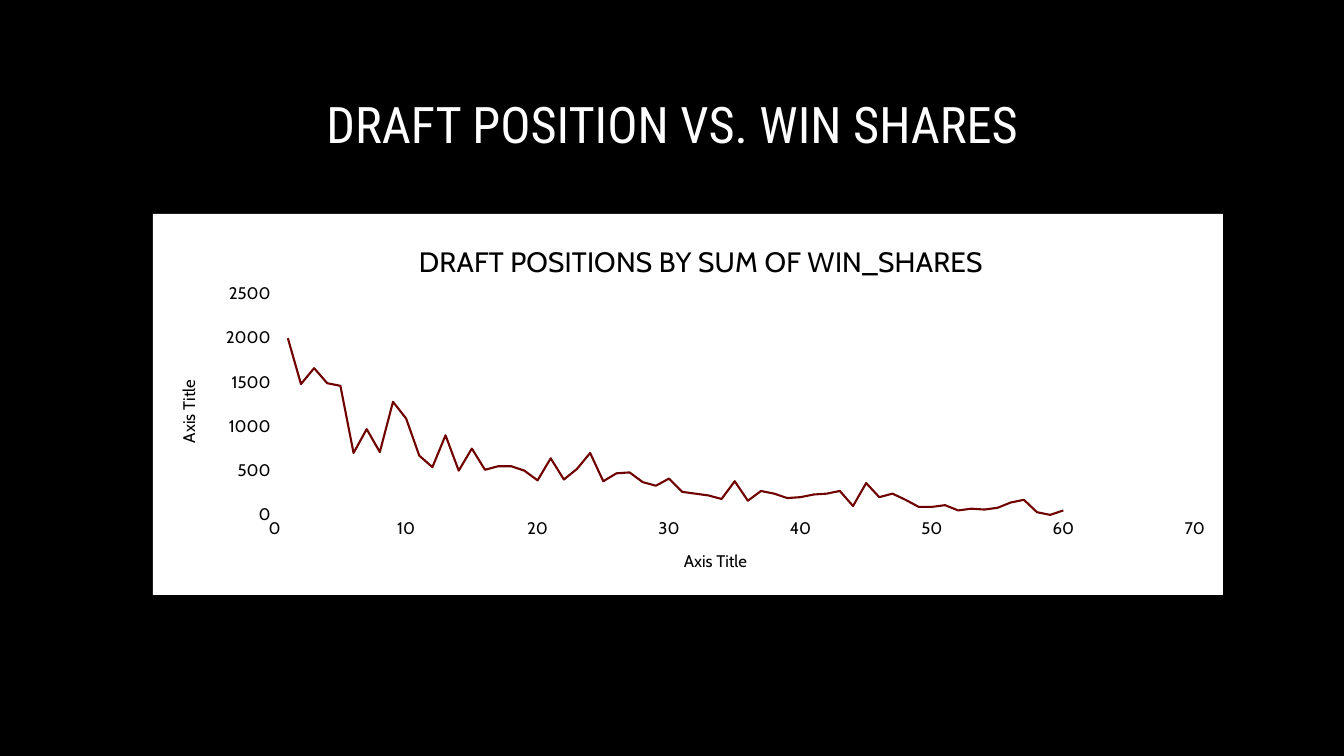
from lxml import etree
from pptx import Presentation
from pptx.chart.data import XyChartData
from pptx.dml.color import RGBColor
from pptx.enum.chart import XL_CHART_TYPE, XL_TICK_LABEL_POSITION, XL_TICK_MARK
from pptx.enum.shapes import MSO_SHAPE
from pptx.enum.text import MSO_ANCHOR, PP_ALIGN
from pptx.oxml import parse_xml
from pptx.oxml.ns import nsdecls, qn
from pptx.util import Emu, Pt

PX_PER_INCH = 100.8
WIN_SHARES = [
    2000, 1480, 1660, 1490, 1460, 700, 970, 710, 1280, 1090,
    670, 540, 900, 500, 750, 510, 550, 550, 500, 390,
    640, 400, 520, 700, 380, 470, 480, 370, 330, 410,
    260, 240, 220, 180, 380, 160, 270, 240, 190, 200,
    230, 240, 270, 100, 360, 200, 240, 170, 90, 90,
    110, 50, 70, 60, 80, 140, 170, 30, 0, 50,
]


def px(n):
    return Emu(round(n * 914400 / PX_PER_INCH))


def color(hex_value):
    return RGBColor.from_string(hex_value)


def place(parent, **fractions):
    """Give a chart part a fixed place, in fractions of the chart."""
    for layout in parent.findall(qn("c:layout")):
        parent.remove(layout)
    layout = parse_xml(f'<c:layout {nsdecls("c")}/>')
    parent.insert(len(parent.findall(qn("c:tx"))), layout)
    manual = etree.SubElement(layout, qn("c:manualLayout"))
    if "w" in fractions:
        etree.SubElement(manual, qn("c:layoutTarget")).set("val", "inner")
    for side in ("x", "y"):
        etree.SubElement(manual, qn(f"c:{side}Mode")).set("val", "edge")
    for name, value in fractions.items():
        etree.SubElement(manual, qn(f"c:{name}")).set("val", str(value))


class Deck:
    HEADING_FONT, BODY_FONT = "Roboto Condensed", "Cabin"
    BLACK, WHITE, MAROON = "000000", "FFFFFF", "700000"

    def __init__(self):
        self.prs = Presentation()
        self.prs.slide_width, self.prs.slide_height = px(1344), px(756)
        self.s = self.prs.slides.add_slide(self.prs.slide_layouts[6])
        fill = self.s.background.fill
        fill.solid()
        fill.fore_color.rgb = color(self.BLACK)

    def style(self, font, size, name, hex_value):
        font.size, font.name, font.bold = Pt(size), name, False
        font.color.rgb = color(hex_value)

    def heading(self, text, x, y, w, h):
        tf = self.s.shapes.add_textbox(px(x), px(y), px(w), px(h)).text_frame
        tf.word_wrap = True
        tf.vertical_anchor = MSO_ANCHOR.BOTTOM
        tf.text = text
        p = tf.paragraphs[0]
        p.alignment, p.line_spacing = PP_ALIGN.CENTER, 0.9
        self.style(p.runs[0].font, 36, self.HEADING_FONT, self.WHITE)

    def panel(self, x, y, w, h):
        sp = self.s.shapes.add_shape(MSO_SHAPE.RECTANGLE, px(x), px(y), px(w), px(h))
        sp.shadow.inherit = False
        sp.fill.solid()
        sp.fill.fore_color.rgb = color(self.WHITE)
        sp.line.fill.background()

    def caption(self, owner, text, size):
        """Set the title of a chart or an axis."""
        title = owner.chart_title if hasattr(owner, "chart_title") else owner.axis_title
        title.text_frame.text = text
        run = title.text_frame.paragraphs[0].runs[0]
        self.style(run.font, size, self.BODY_FONT, self.BLACK)
        return title

    def axis(self, axis, title, top, step):
        axis.minimum_scale, axis.maximum_scale, axis.major_unit = 0, top, step
        axis.major_tick_mark = axis.minor_tick_mark = XL_TICK_MARK.NONE
        axis.tick_label_position = XL_TICK_LABEL_POSITION.NEXT_TO_AXIS
        axis.has_major_gridlines = True
        for line in (axis.format.line, axis.major_gridlines.format.line):
            line.color.rgb = color(self.WHITE)
            line.width = Pt(0.75)
        self.style(axis.tick_labels.font, 12, self.BODY_FONT, self.BLACK)
        self.caption(axis, title, 12)

    def smooth_chart(self, title, values, x, y, w, h):
        data = XyChartData()
        points = data.add_series("Series 1")
        for position, value in enumerate(values, 1):
            points.add_data_point(position, value)
        chart = self.s.shapes.add_chart(
            XL_CHART_TYPE.XY_SCATTER_SMOOTH_NO_MARKERS,
            px(x), px(y), px(w), px(h), data).chart
        self.style(chart.font, 12, self.BODY_FONT, self.BLACK)
        chart.has_legend = False
        chart.plots[0].vary_by_categories = False
        series = chart.plots[0].series[0]
        series.smooth = True
        series.format.line.color.rgb = color(self.MAROON)
        series.format.line.width = Pt(1.5)
        self.axis(chart.category_axis, "Axis Title", 70, 10)
        self.axis(chart.value_axis, "Axis Title", 2500, 500)
        chart_title = self.caption(chart, title, 20)
        root = chart.element
        place(chart_title._element, x=0.24, y=0.06)
        place(root.find(".//" + qn("c:plotArea")), x=0.11, y=0.21, w=0.86, h=0.58)
        root.find(qn("c:chart")).addnext(parse_xml(
            f'<c:spPr {nsdecls("c", "a")}><a:noFill/><a:ln><a:noFill/></a:ln></c:spPr>'))


def main():
    deck = Deck()
    deck.heading("DRAFT POSITION VS. WIN SHARES", 118, 33, 1109, 126)
    deck.panel(153, 214, 1070, 381)
    deck.smooth_chart("DRAFT POSITIONS BY SUM OF WIN_SHARES", WIN_SHARES,
                      157, 214, 1070, 381)
    deck.prs.save("out.pptx")


if __name__ == "__main__":
    main()
